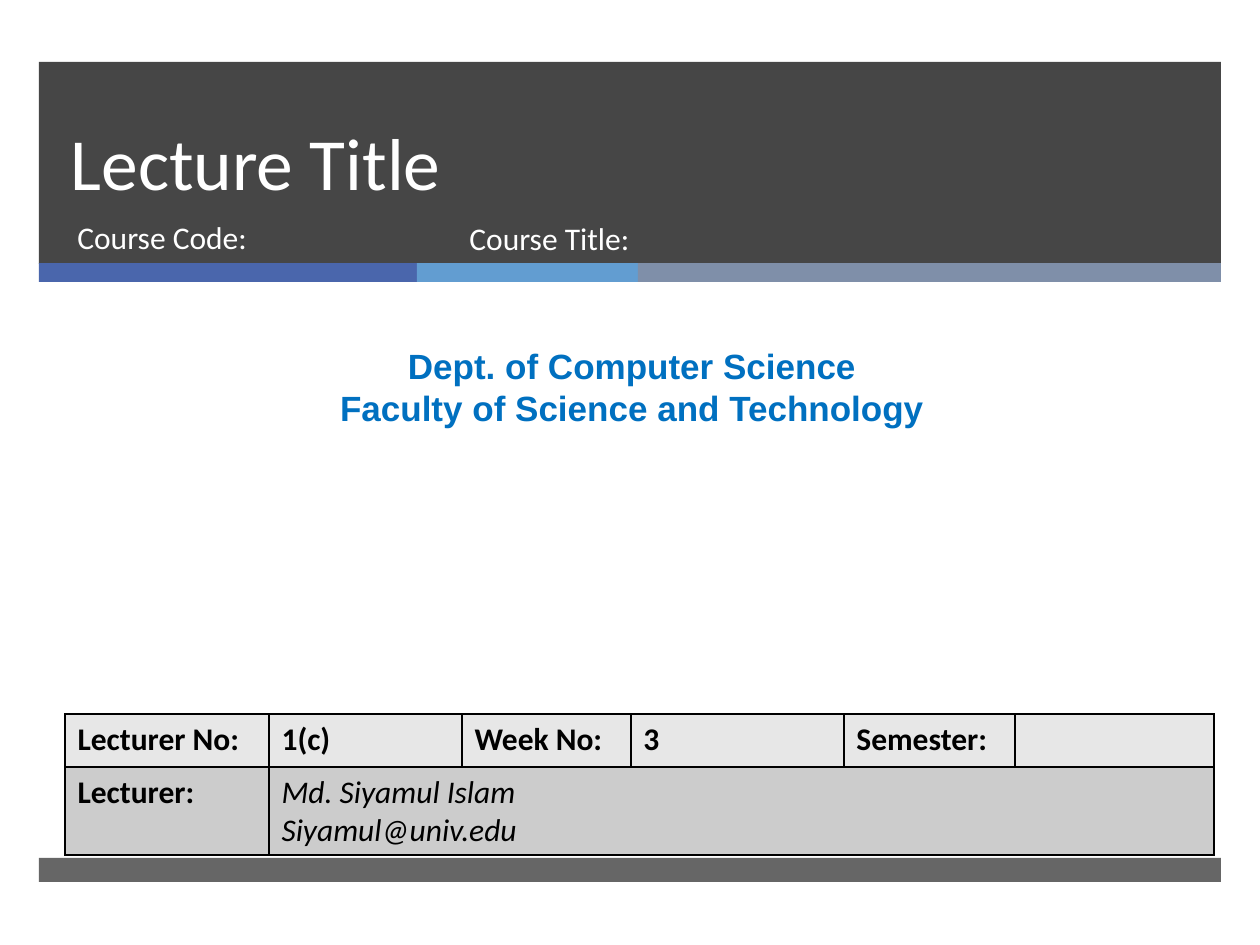
from dataclasses import dataclass

from lxml.etree import SubElement
from pptx import Presentation
from pptx.dml.color import RGBColor
from pptx.enum.shapes import MSO_SHAPE as Shape
from pptx.enum.text import MSO_ANCHOR as Anchor, MSO_AUTO_SIZE as AutoSize, PP_ALIGN as Align
from pptx.oxml.ns import qn
from pptx.util import Emu, Pt

PX_PER_INCH = 126
COLORS = {
    "dark": "262626", "blue": "4A66AC", "sky": "629DD1", "slate": "7F8FA9",
    "white": "FFFFFF", "black": "000000", "department": "0070C0",
    "light_row": "E7E7E7", "dark_row": "CCCCCC",
}


@dataclass(frozen=True)
class Box:
    left: int
    top: int
    width: int
    height: int

    def emu(self) -> tuple[Emu, ...]:
        return tuple(px(v) for v in (self.left, self.top, self.width, self.height))


@dataclass(frozen=True)
class Bar:
    box: Box
    color: str
    opacity: int = 100


BARS = [
    Bar(Box(39, 62, 1182, 202), "dark", 85),
    Bar(Box(39, 263, 378, 19), "blue"),
    Bar(Box(417, 263, 221, 19), "sky"),
    Bar(Box(638, 263, 583, 19), "slate"),
    Bar(Box(39, 858, 1182, 24), "dark", 70),
]
TABLE_BOX = Box(65, 714, 1149, 141)
COLUMN_WIDTHS = [204, 193, 169, 213, 171, 199]
ROW_HEIGHTS = [53, 88]
HEADINGS = ["Lecturer No:", "1(c)", "Week No:", "3", "Semester:", ""]


def px(value: int) -> Emu:
    return Emu(round(value * 914400 / PX_PER_INCH))


def rgb(name: str) -> RGBColor:
    return RGBColor.from_string(COLORS[name])


def write(frame, text: str, *, size=18, font="Calibri", color="white",
          bold=False, italic=False, align=Align.LEFT, spacing=None) -> None:
    """Fill a text frame, one paragraph per line of text."""
    frame.text = text
    for para in frame.paragraphs:
        para.alignment = align
        if spacing:
            para.line_spacing = spacing
        for span in para.runs:
            span.font.size = Pt(size)
            span.font.name = font
            span.font.bold = bold
            span.font.italic = italic
            span.font.color.rgb = rgb(color)


def add_bar(page, bar: Bar) -> None:
    shape = page.shapes.add_shape(Shape.RECTANGLE, *bar.box.emu())
    shape.shadow.inherit = False
    shape.line.fill.background()
    shape.fill.solid()
    shape.fill.fore_color.rgb = rgb(bar.color)
    if bar.opacity < 100:
        color = shape._element.spPr.find(qn("a:solidFill"))[0]
        SubElement(color, qn("a:alpha"), val=str(bar.opacity * 1000))


def add_text(page, box: Box, text: str, **style) -> None:
    frame = page.shapes.add_textbox(*box.emu()).text_frame
    frame.word_wrap = True
    write(frame, text, **style)


def place_title(page, box: Box, text: str) -> None:
    title = page.shapes.title
    title.left, title.top, title.width, title.height = box.emu()
    frame = title.text_frame
    frame.auto_size = AutoSize.NONE
    frame.vertical_anchor = Anchor.BOTTOM
    write(frame, text, size=42, spacing=Pt(46))
    page.shapes._spTree.append(title._element)  # in front of the header bar


def style_cell(cell, fill: str) -> None:
    """Give a cell its fill and a thin black border on all sides."""
    properties = cell._tc.get_or_add_tcPr()
    for side in ("lnL", "lnR", "lnT", "lnB"):
        line = SubElement(properties, qn(f"a:{side}"), w=str(Pt(1)))
        solid = SubElement(line, qn("a:solidFill"))
        SubElement(solid, qn("a:srgbClr"), val=COLORS["black"])
    cell.fill.solid()
    cell.fill.fore_color.rgb = rgb(fill)


def add_lecture_table(page) -> None:
    table = page.shapes.add_table(
        len(ROW_HEIGHTS), len(COLUMN_WIDTHS), *TABLE_BOX.emu()).table
    for column, width in zip(table.columns, COLUMN_WIDTHS):
        column.width = px(width)
    for row, height, fill in zip(table.rows, ROW_HEIGHTS, ("light_row", "dark_row")):
        row.height = px(height)
        for cell in row.cells:
            style_cell(cell, fill)
    for index, heading in enumerate(HEADINGS):
        write(table.cell(0, index).text_frame, heading, color="black", bold=True)
    write(table.cell(1, 0).text_frame, "Lecturer:", color="black", bold=True)
    lecturer = table.cell(1, 1)
    lecturer.merge(table.cell(1, len(COLUMN_WIDTHS) - 1))
    write(lecturer.text_frame, "Md. Siyamul Islam\nSiyamul@univ.edu",
          color="black", italic=True)


def main() -> None:
    deck = Presentation()
    deck.slide_width, deck.slide_height = px(1260), px(945)
    page = deck.slides.add_slide(deck.slide_layouts.get_by_name("Title Only"))
    for bar in BARS:
        add_bar(page, bar)
    place_title(page, Box(58, 62, 1076, 150), "Lecture Title")
    add_text(page, Box(65, 212, 384, 67), "Course Code:")
    add_text(page, Box(10, 338, 1244, 97),
             "Dept. of Computer Science\nFaculty of Science and Technology",
             size=20, font="Arial", color="department", bold=True, align=Align.CENTER)
    add_lecture_table(page)
    add_text(page, Box(457, 213, 573, 67), "Course Title:")
    deck.save("out.pptx")


if __name__ == "__main__":
    main()
